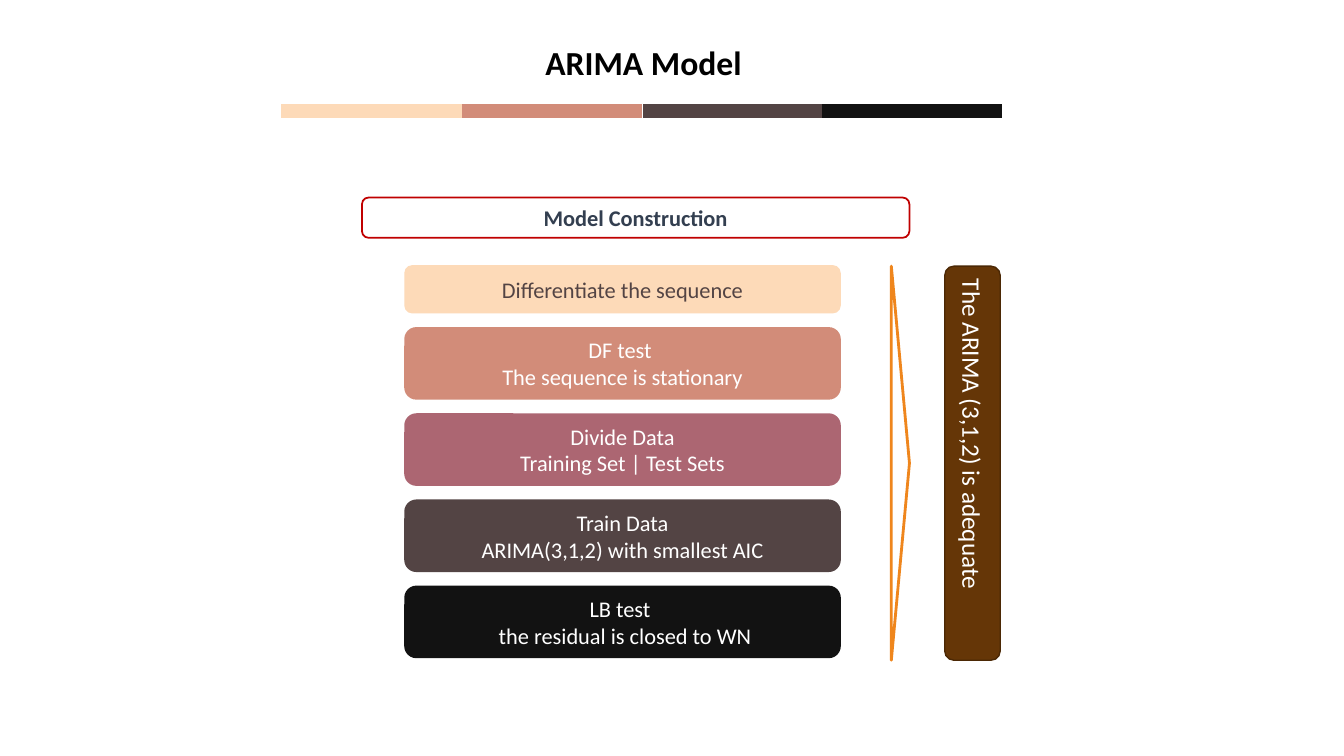
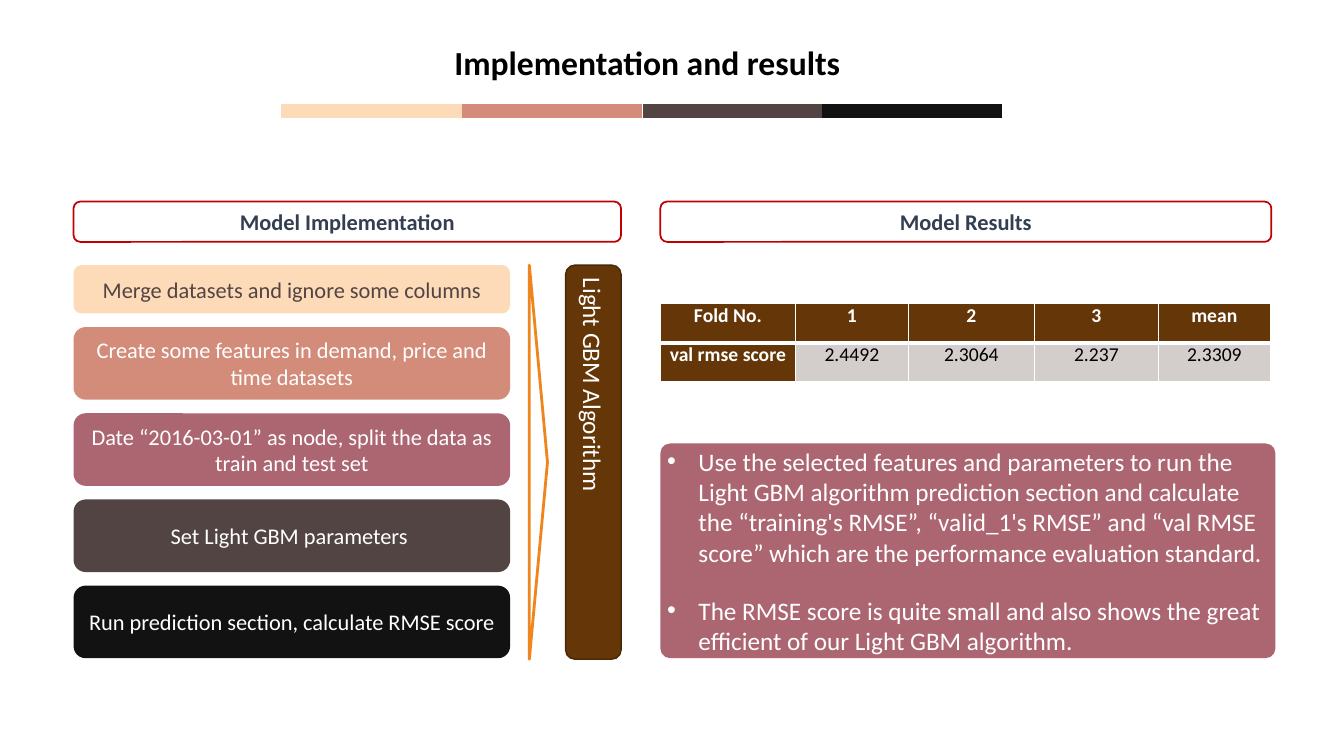
"""Build two slides on the forecasting models: ARIMA and the Light GBM results."""
from dataclasses import dataclass

from lxml import etree
from pptx import Presentation
from pptx import util as u
from pptx.dml.color import RGBColor
from pptx.enum import shapes, text
from pptx.oxml.ns import qn

FONT = "Calibri"
WHITE, BLACK = "FFFFFF", "000000"
PEACH, CORAL, ROSE, TAUPE, INK = "FDDAB8", "D28C79", "AC6672", "534444", "121212"
BROWN, DARK_BROWN, ORANGE = "653607", "4B2805", "EF861D"
RED, NAVY, STONE = "C00000", "333F50", "D3CECC"

STEP_COLOURS = [PEACH, CORAL, ROSE, TAUPE, INK]
BAND_STARTS = {PEACH: 2.79, CORAL: 4.58, TAUPE: 6.38, INK: 8.15}
FLOW_TOP, FLOW_BOTTOM = 2.63, 6.53
FIRST_STEP_HEIGHT, STEP_HEIGHT, STEP_WIDTH = 0.48, 0.72, 4.33
OUTCOME_WIDTH, OUTCOME_HEIGHT, POINTER_DEPTH = 0.55, 3.91, 0.18
RESULTS_LEFT, RESULTS_WIDTH = 6.55, 6.06


@dataclass(frozen=True)
class Box:
    """A rectangle in inches."""
    left: float
    top: float
    width: float
    height: float

    def emu(self) -> list[u.Length]:
        """Return left, top, width and height as lengths."""
        return [u.Inches(v) for v in (self.left, self.top, self.width, self.height)]


@dataclass(frozen=True)
class TextStyle:
    """The look of a text."""
    size: float
    colour: str = WHITE
    bold: bool = False
    align: text.PP_ALIGN = text.PP_ALIGN.CENTER


@dataclass(frozen=True)
class Flow:
    """A column of steps pointing at an outcome."""
    left: float
    pointer_left: float
    outcome_left: float
    outcome_top: float
    steps: list[str]
    outcome: str


TITLE = TextStyle(24, BLACK, bold=True)
HEADING = TextStyle(16, NAVY, bold=True)
FIRST_STEP = TextStyle(16, TAUPE)
STEP = TextStyle(16)
OUTCOME = TextStyle(18, align=text.PP_ALIGN.LEFT)
FINDING = TextStyle(18, align=text.PP_ALIGN.LEFT)
TABLE_HEAD = TextStyle(14, bold=True)
TABLE_VALUE = TextStyle(14, BLACK)

ARIMA_FLOW = Flow(
    4.01, 8.84, 9.37, 2.64,
    ["Differentiate the sequence",
     "DF test \nThe sequence is stationary",
     "Divide Data\nTraining Set | Test Sets",
     "Train Data\nARIMA(3,1,2) with smallest AIC",
     "LB test \n the residual is closed to WN"],
    "The ARIMA (3,1,2) is adequate")
GBM_FLOW = Flow(
    0.73, 5.25, 5.61, 2.63,
    ["Merge datasets and ignore some columns",
     "Create some features in demand, price and time datasets",
     "Date “2016-03-01” as node, split the data as train and test set",
     "Set Light GBM parameters ",
     "Run prediction section, calculate RMSE score"],
    "Light GBM Algorithm")
FINDINGS = [
    "Use the selected features and parameters to run the Light GBM algorithm "
    "prediction section and calculate the “training's RMSE”, “valid_1's RMSE” and "
    "“val RMSE score” which are the performance evaluation standard.",
    "The RMSE score is quite small and also shows the great efficient of our "
    "Light GBM algorithm."]
SCORES = [["Fold No.", "1", "2", "3", "mean"],
          ["val rmse score", "2.4492", "2.3064", "2.237", "2.3309"]]
SCORE_WIDTHS = [1.34, 1.12, 1.25, 1.23, 1.11]


def rgb(colour: str) -> RGBColor:
    """Turn a hex string into a colour."""
    return RGBColor.from_string(colour)


def write(frame, content: str, style: TextStyle) -> None:
    """Put styled text into a frame, one paragraph a line."""
    frame.text = content
    frame.word_wrap = True
    for paragraph in frame.paragraphs:
        paragraph.alignment = style.align
        for run in paragraph.runs:
            run.font.name = FONT
            run.font.size = u.Pt(style.size)
            run.font.bold = style.bold
            run.font.color.rgb = rgb(style.colour)


def add_panel(slide, box: Box, fill: str | None = None, line: str | None = None,
              weight: float = 1, kind=shapes.MSO_SHAPE.ROUNDED_RECTANGLE):
    """Draw a flat preset shape, rounded by default."""
    panel = slide.shapes.add_shape(kind, *box.emu())
    panel.shadow.inherit = False
    if fill:
        panel.fill.solid()
        panel.fill.fore_color.rgb = rgb(fill)
    else:
        panel.fill.background()
    if line:
        panel.line.color.rgb = rgb(line)
        panel.line.width = u.Pt(weight)
    else:
        panel.line.fill.background()
    panel.text_frame.vertical_anchor = text.MSO_ANCHOR.MIDDLE
    return panel


def add_band(slide) -> None:
    """Draw the four-colour rule under the title."""
    top, length = 1.1, 1.79
    for colour, start in BAND_STARTS.items():
        stripe = slide.shapes.add_connector(
            shapes.MSO_CONNECTOR.STRAIGHT, u.Inches(start), u.Inches(top),
            u.Inches(start + length), u.Inches(top))
        stripe.line.color.rgb = rgb(colour)
        stripe.line.width = u.Pt(10)
        etree.SubElement(stripe._element.spPr, qn("a:effectLst"))


def add_titled_slide(deck, title: str):
    """Add a blank slide with the shared band and title."""
    slide = deck.slides.add_slide(deck.slide_layouts[6])
    add_band(slide)
    frame = slide.shapes.add_textbox(*Box(4.16, 0.42, 4.52, 0.4).emu()).text_frame
    frame.margin_top = frame.margin_bottom = 0
    frame.vertical_anchor = text.MSO_ANCHOR.BOTTOM
    write(frame, title, TITLE)
    frame.paragraphs[0].line_spacing = 0.9
    return slide


def add_heading(slide, left: float, top: float, width: float, heading: str) -> None:
    """Draw a red-outlined section heading."""
    panel = add_panel(slide, Box(left, top, width, 0.4), line=RED, weight=1.25)
    write(panel.text_frame, heading, HEADING)


def add_flow(slide, flow: Flow) -> None:
    """Draw the steps, the pointer and the upright outcome."""
    later = len(flow.steps) - 1
    gap = (FLOW_BOTTOM - FLOW_TOP - FIRST_STEP_HEIGHT - later * STEP_HEIGHT) / later
    top = FLOW_TOP
    for i, (step, colour) in enumerate(zip(flow.steps, STEP_COLOURS)):
        height = STEP_HEIGHT if i else FIRST_STEP_HEIGHT
        panel = add_panel(slide, Box(flow.left, top, STEP_WIDTH, height), colour)
        write(panel.text_frame, step, STEP if i else FIRST_STEP)
        top += height + gap

    outcome = add_panel(
        slide, Box(flow.outcome_left, flow.outcome_top, OUTCOME_WIDTH, OUTCOME_HEIGHT),
        BROWN, DARK_BROWN)
    write(outcome.text_frame, flow.outcome, OUTCOME)
    outcome.text_frame._txBody.bodyPr.set("vert", "eaVert")

    inset = (OUTCOME_HEIGHT - POINTER_DEPTH) / 2
    pointer = add_panel(
        slide, Box(flow.pointer_left - inset, flow.outcome_top + inset,
                   OUTCOME_HEIGHT, POINTER_DEPTH),
        line=ORANGE, weight=2, kind=shapes.MSO_SHAPE.ISOSCELES_TRIANGLE)
    pointer.rotation = 90


def add_findings(slide) -> None:
    """Draw the bulleted findings panel."""
    panel = add_panel(slide, Box(RESULTS_LEFT, 4.4, 6.1, 2.13), ROSE)
    panel.adjustments[0] = 0.045
    frame = panel.text_frame
    frame.margin_left = frame.margin_right = u.Inches(0.04)
    frame.margin_top = frame.margin_bottom = 0
    write(frame, "\n".join(FINDINGS), FINDING)
    for paragraph in frame.paragraphs:
        properties = paragraph._p.get_or_add_pPr()
        properties.set("marL", str(u.Inches(0.31)))
        properties.set("indent", str(u.Inches(-0.31)))
        etree.SubElement(properties, qn("a:buFont"), typeface="Arial")
        etree.SubElement(properties, qn("a:buChar"), char="•")
    frame.paragraphs[1].space_before = u.Pt(20)


def set_borders(cell, bottom: float) -> None:
    """Give a cell white borders with its own bottom weight."""
    properties = cell._tc.get_or_add_tcPr()
    for side, weight in (("L", 1), ("R", 1), ("T", 1), ("B", bottom)):
        edge = etree.SubElement(properties, qn(f"a:ln{side}"), w=str(u.Pt(weight)))
        paint = etree.SubElement(edge, qn("a:solidFill"))
        etree.SubElement(paint, qn("a:srgbClr"), val=WHITE)


def add_scores(slide) -> None:
    """Draw the table of validation scores."""
    row_height = 0.39
    box = Box(RESULTS_LEFT, 3.01, RESULTS_WIDTH, row_height * len(SCORES))
    table = slide.shapes.add_table(len(SCORES), len(SCORE_WIDTHS), *box.emu()).table
    table.horz_banding = False
    for column, width in zip(table.columns, SCORE_WIDTHS):
        column.width = u.Inches(width)
    for r, scores in enumerate(SCORES):
        table.rows[r].height = u.Inches(row_height)
        for c, score in enumerate(scores):
            cell = table.cell(r, c)
            is_head = r == 0 or c == 0
            cell.margin_left = cell.margin_right = u.Inches(0.07)
            cell.margin_top = cell.margin_bottom = 0
            set_borders(cell, 3 if r == 0 else 1)
            cell.fill.solid()
            cell.fill.fore_color.rgb = rgb(BROWN if is_head else STONE)
            write(cell.text_frame, score, TABLE_HEAD if is_head else TABLE_VALUE)


def main() -> None:
    """Build and save the deck."""
    deck = Presentation()
    deck.slide_width, deck.slide_height = u.Inches(13.33), u.Inches(7.5)

    arima = add_titled_slide(deck, "ARIMA Model ")
    add_flow(arima, ARIMA_FLOW)
    add_heading(arima, 3.59, 1.96, 5.43, "Model Construction")

    results = add_titled_slide(deck, "Implementation and results")
    add_flow(results, GBM_FLOW)
    add_heading(results, 0.73, 2, 5.43, "Model Implementation")
    add_heading(results, RESULTS_LEFT, 2, RESULTS_WIDTH, "Model Results")
    add_findings(results)
    add_scores(results)

    deck.save("out.pptx")


if __name__ == "__main__":
    main()
